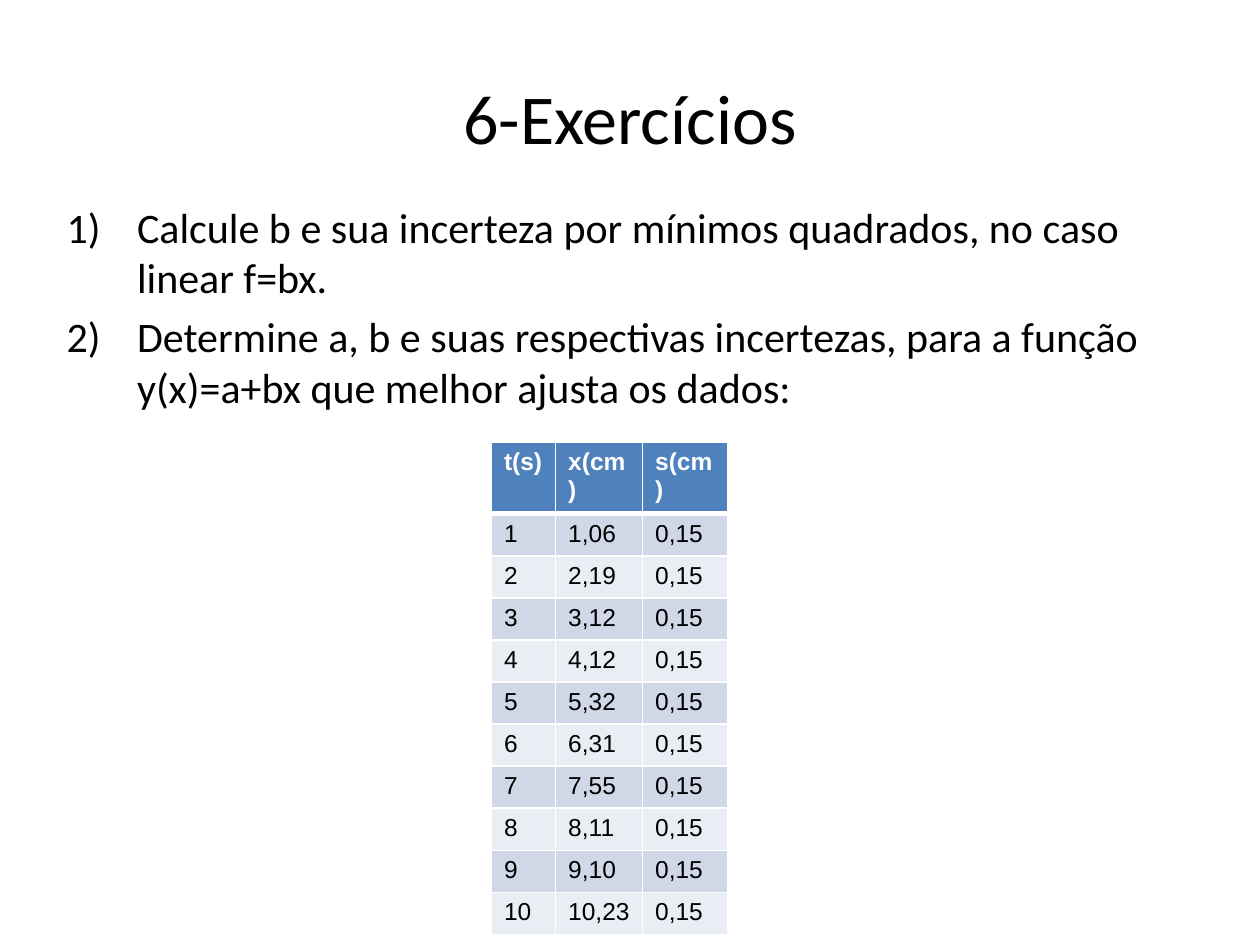
from dataclasses import dataclass

import pptx
import pptx.dml.color
import pptx.enum.text
import pptx.oxml
import pptx.oxml.ns
import pptx.util


@dataclass(frozen=True)
class Theme:
    """Colours, fonts and type sizes of the slide."""
    ink: str = "000000"
    paper: str = "FFFFFF"
    header: str = "4F81BD"
    bands: tuple = ("D0D8E8", "E9EDF4")
    text_font: str = "Calibri"
    table_font: str = "Arial"
    title_size: int = 40
    body_size: int = 24
    table_size: int = 14
    rule: int = 1
    header_rule: int = 3


class SlideBuilder:
    """Draws themed elements on a grid of 100 columns by 75 rows."""

    def __init__(self, prs, theme):
        self.theme = theme
        self.s = prs.slides.add_slide(prs.slide_layouts[6])
        self.col = prs.slide_width / 100
        self.row = prs.slide_height / 75

    def box(self, x, y, w, h):
        return (round(x * self.col), round(y * self.row),
                round(w * self.col), round(h * self.row))

    def style(self, p, font, size, color, bold=False):
        for r in p.runs:
            r.font.name = font
            r.font.size = pptx.util.Pt(size)
            r.font.bold = bold
            r.font.color.rgb = pptx.dml.color.RGBColor.from_string(color)

    def text_frame(self, text, *place):
        tf = self.s.shapes.add_textbox(*self.box(*place)).text_frame
        tf.word_wrap = True
        tf.text = text
        return tf

    def title(self, text, *place):
        tf = self.text_frame(text, *place)
        tf.vertical_anchor = pptx.enum.text.MSO_ANCHOR.MIDDLE
        p = tf.paragraphs[0]
        p.alignment = pptx.enum.text.PP_ALIGN.CENTER
        self.style(p, self.theme.text_font, self.theme.title_size, self.theme.ink)

    def numbered_list(self, items, indent, *place):
        tf = self.text_frame("\n".join(items), *place)
        for i, p in enumerate(tf.paragraphs):
            pPr = p._p.get_or_add_pPr()
            pPr.set("marL", str(round(indent * self.col)))
            pPr.set("indent", str(round(-indent * self.col)))
            pPr.append(pptx.oxml.parse_xml(
                f'<a:buAutoNum {pptx.oxml.ns.nsdecls("a")} type="arabicParenR"/>'))
            if i:
                p.space_before = pptx.util.Pt(0.2 * self.theme.body_size)
            self.style(p, self.theme.text_font, self.theme.body_size, self.theme.ink)

    def borders(self, cell, top, bottom):
        widths = {"lnL": self.theme.rule, "lnR": self.theme.rule, "lnT": top, "lnB": bottom}
        for tag, width in widths.items():
            cell._tc.get_or_add_tcPr().append(pptx.oxml.parse_xml(
                f'<a:{tag} {pptx.oxml.ns.nsdecls("a")} w="{pptx.util.Pt(width)}"><a:solidFill>'
                f'<a:srgbClr val="{self.theme.paper}"/></a:solidFill></a:{tag}>'))

    def table(self, rows, x, y, widths, height):
        t = self.theme
        place = self.box(x, y, sum(widths), height * len(rows))
        table = self.s.shapes.add_table(len(rows), len(widths), *place).table
        for column, width in zip(table.columns, widths):
            column.width = round(width * self.col)
        for i, values in enumerate(rows):
            head = i == 0
            fill = t.header if head else t.bands[(i - 1) % 2]
            top = t.header_rule if i == 1 else t.rule
            bottom = t.header_rule if head else t.rule
            for cell, value in zip(table.rows[i].cells, values):
                cell.text_frame.text = value
                self.style(cell.text_frame.paragraphs[0], t.table_font, t.table_size,
                           t.paper if head else t.ink, head)
                self.borders(cell, top, bottom)
                cell.fill.solid()
                cell.fill.fore_color.rgb = pptx.dml.color.RGBColor.from_string(fill)


def main():
    prs = pptx.Presentation()
    prs.slide_width = pptx.util.Inches(10)
    prs.slide_height = pptx.util.Inches(7.5)
    slide = SlideBuilder(prs, Theme())
    slide.title("6-Exercícios", 5, 3, 90, 12.5)
    slide.numbered_list([
        "Calcule b e sua incerteza por mínimos quadrados, no caso linear f=bx.",
        "Determine a, b e suas respectivas incertezas, para a função "
        "y(x)=a+bx que melhor ajusta os dados:",
    ], 5.6, 4.3, 15.5, 90, 18.4)
    positions = ["1,06", "2,19", "3,12", "4,12", "5,32",
                 "6,31", "7,55", "8,11", "9,10", "10,23"]
    rows = [("t(s)", "x(cm)", "s(cm)")]
    rows += [(str(t), x, "0,15") for t, x in enumerate(positions, 1)]
    slide.table(rows, 39, 35.1, (5.1, 6.9, 6.8), 3.2)
    prs.save("out.pptx")


if __name__ == "__main__":
    main()
